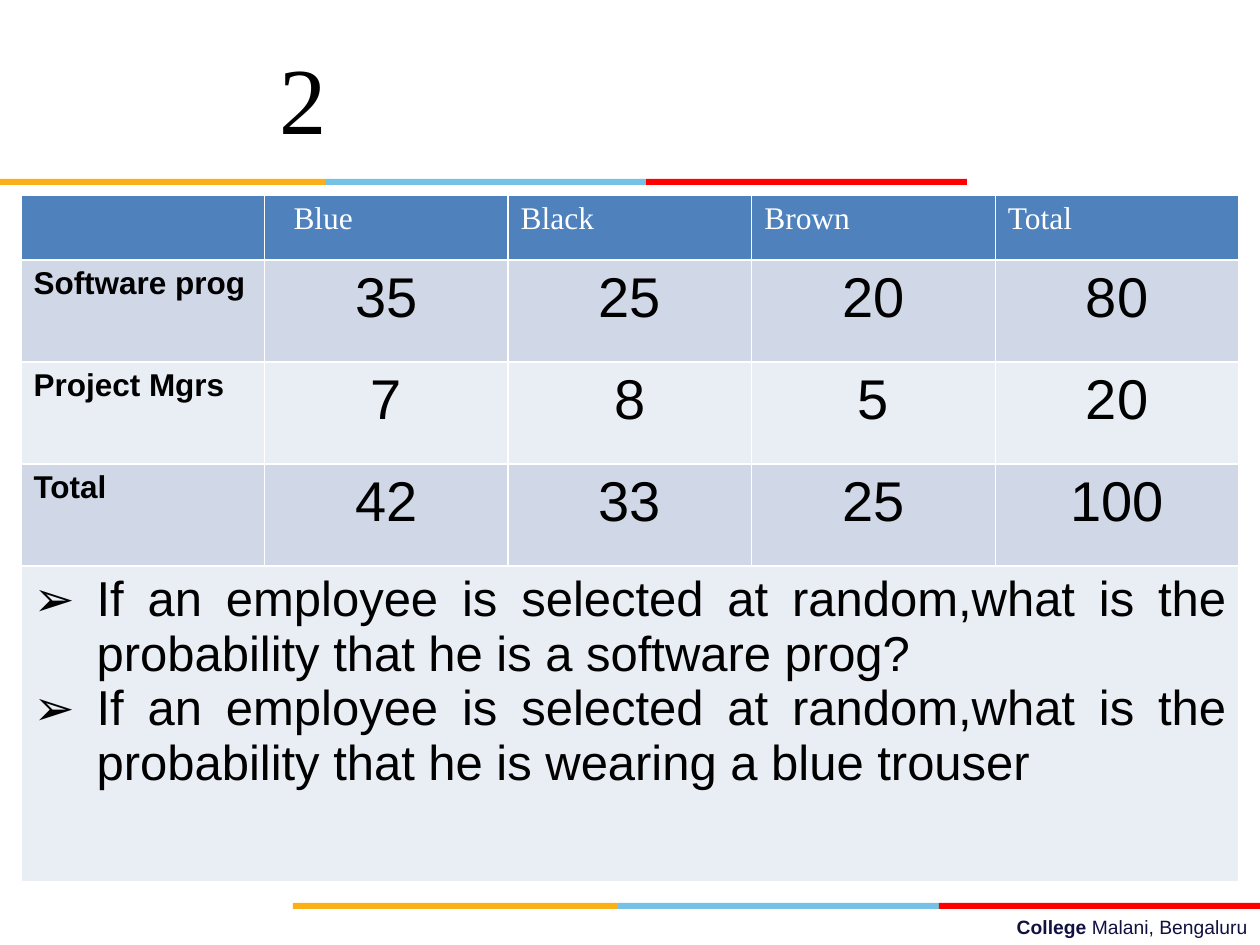
from lxml import etree
from pptx import Presentation
from pptx.dml.color import RGBColor
from pptx.enum.shapes import MSO_SHAPE
from pptx.enum.text import MSO_ANCHOR, PP_ALIGN
from pptx.oxml.ns import qn
from pptx.util import Pt

RECT = MSO_SHAPE.RECTANGLE
MID = MSO_ANCHOR.MIDDLE
LEFT, CENTER, RIGHT, JUST = (PP_ALIGN.LEFT, PP_ALIGN.CENTER,
                             PP_ALIGN.RIGHT, PP_ALIGN.JUSTIFY)

# Content
TITLE = "2"
HEAD = ["", "Blue", "Black", "Brown", "Total"]
ROWS = [
    ("Software prog", 35, 25, 20, 80),
    ("Project Mgrs", 7, 8, 5, 20),
    ("Total", 42, 33, 25, 100),
]
ASKS = [
    "If an employee is selected at random,what is the probability that he is a software prog?",
    "If an employee is selected at random,what is the probability that he is wearing a blue trouser",
]
FOOT = [("College ", True), ("Malani, Bengaluru", False)]

THEME = {
    "sans": "Arial", "serif": "Times New Roman",
    "black": "000000", "white": "FFFFFF", "navy": "101141",
    "head": "4F81BD", "bands": ("D0D8E8", "E9EDF4"),
    "bars": ("FCB017", "76C2E5", "FF0000"),
    "title": 54, "num": 32, "ask": 28, "label": 18, "foot": 11,
}

# Layout in px
WIDE, HIGH = 1260, 945
BAR_W, BAR_H = (325, 321, 321), 6
TABLE = (21, 195, 1218)
ROW_H = (65, 102, 102, 102, 316)
INDENT = 63


def px(n):
    return round(n * 914400 / 126)


def rgb(name):
    return RGBColor.from_string(THEME.get(name, name))


def add_run(para, text, size, face="sans", color="black", bold=False):
    run = para.add_run()
    run.text = text
    font = run.font
    font.name, font.size, font.bold = THEME[face], Pt(THEME[size]), bold
    font.color.rgb = rgb(color)


def add_box(slide, *box):
    frame = slide.shapes.add_textbox(*map(px, box)).text_frame
    frame.word_wrap = True
    frame.vertical_anchor = MID
    return frame.paragraphs[0]


def add_bars(slide, left, top):
    for wide, color in zip(BAR_W, THEME["bars"]):
        bar = slide.shapes.add_shape(RECT, px(left), px(top), px(wide), px(BAR_H))
        bar.shadow.inherit = False
        bar.fill.solid()
        bar.fill.fore_color.rgb = rgb(color)
        bar.line.fill.background()
        left += wide


def style_cell(cell, color):
    props = cell._tc.get_or_add_tcPr()
    for side in ("lnL", "lnR", "lnT", "lnB"):
        line = etree.SubElement(props, qn("a:" + side), w=str(Pt(1)))
        fill = etree.SubElement(line, qn("a:solidFill"))
        etree.SubElement(fill, qn("a:srgbClr"), val=THEME["white"])
    cell.fill.solid()
    cell.fill.fore_color.rgb = rgb(color)


def add_bullet(para):
    props = para._p.get_or_add_pPr()
    props.set("marL", str(px(INDENT)))
    props.set("indent", str(-px(INDENT)))
    etree.SubElement(props, qn("a:buFont"), typeface=THEME["sans"])
    etree.SubElement(props, qn("a:buChar"), char="➢")


def add_grid(slide):
    left, top, wide = TABLE
    grid = slide.shapes.add_table(len(ROW_H), len(HEAD), px(left), px(top),
                                  px(wide), px(sum(ROW_H))).table
    for col in grid.columns:
        col.width = px(wide / len(HEAD))
    for r, high in enumerate(ROW_H):
        grid.rows[r].height = px(high)
        color = THEME["bands"][(r - 1) % 2] if r else "head"
        for c in range(len(HEAD)):
            style_cell(grid.cell(r, c), color)

    # Header row
    for c, text in enumerate(HEAD):
        if text:
            add_run(grid.cell(0, c).text_frame.paragraphs[0], text,
                    "label", "serif", "white")
    grid.cell(0, 1).margin_left = px(29)

    # Counts
    for r, row in enumerate(ROWS, 1):
        for c, value in enumerate(row):
            para = grid.cell(r, c).text_frame.paragraphs[0]
            para.alignment = CENTER if c else LEFT
            add_run(para, str(value), "num" if c else "label", bold=not c)

    # Questions across the last row
    last = len(ROW_H) - 1
    cell = grid.cell(last, 0)
    cell.merge(grid.cell(last, len(HEAD) - 1))
    frame = cell.text_frame
    for i, ask in enumerate(ASKS):
        para = frame.add_paragraph() if i else frame.paragraphs[0]
        para.alignment = JUST
        add_bullet(para)
        add_run(para, ask, "ask")


def main():
    deck = Presentation()
    deck.slide_width, deck.slide_height = px(WIDE), px(HIGH)
    slide = deck.slides.add_slide(deck.slide_layouts[6])

    # Footer and colour bars
    foot = add_box(slide, 451, 909, 809, 36)
    foot.alignment = RIGHT
    for text, bold in FOOT:
        add_run(foot, text, "foot", color="navy", bold=bold)
    add_bars(slide, WIDE - sum(BAR_W), 903)
    add_bars(slide, 0, 179)

    add_grid(slide)

    # Title, set in from the left
    title = add_box(slide, 54, 38, 843, 117)
    title._p.get_or_add_pPr().set("marL", str(px(213)))
    add_run(title, TITLE, "title", "serif")

    deck.save("out.pptx")


if __name__ == "__main__":
    main()
